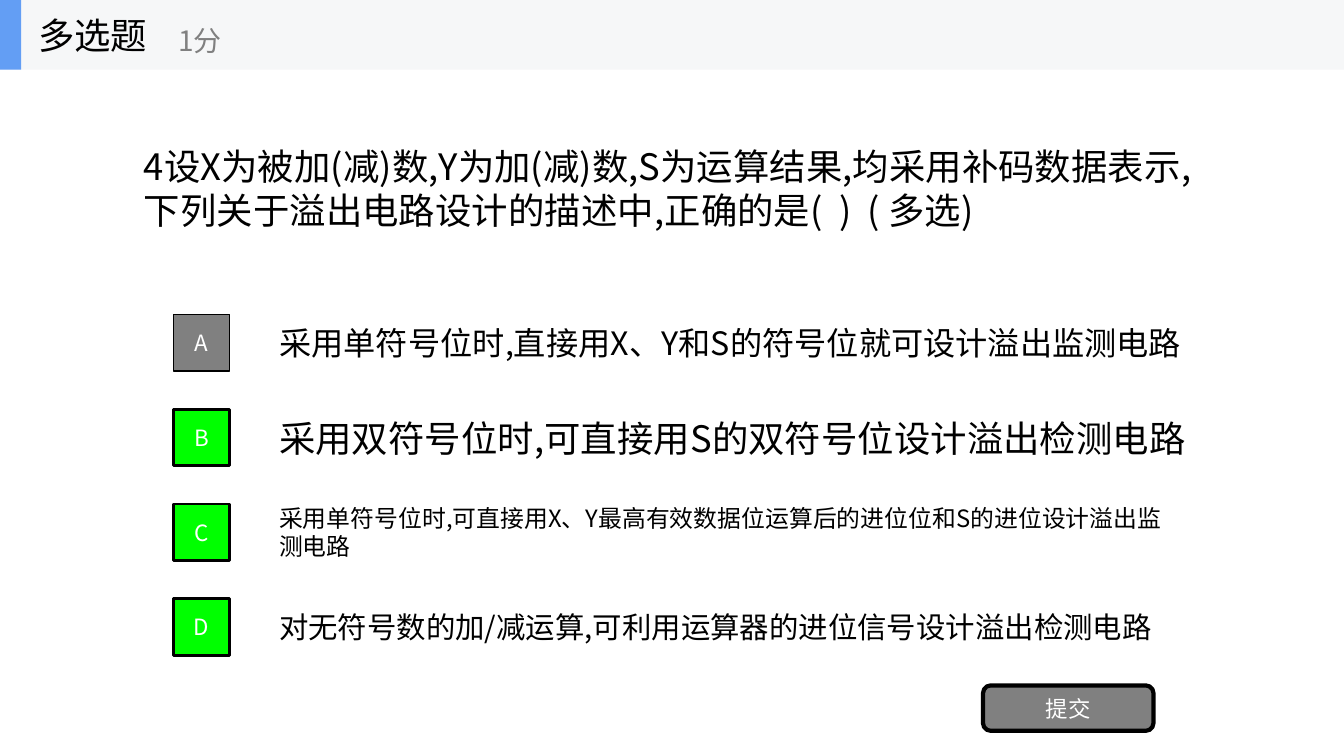
from lxml.etree import SubElement
from pptx import Presentation
from pptx.dml.color import RGBColor
from pptx.enum.shapes import MSO_SHAPE
from pptx.enum.text import MSO_ANCHOR, MSO_AUTO_SIZE, PP_ALIGN
from pptx.oxml.ns import qn
from pptx.util import Inches, Pt

FONT = "Noto Sans CJK SC"
BLACK = RGBColor(0x00, 0x00, 0x00)
WHITE = RGBColor(0xFF, 0xFF, 0xFF)
GRAY = RGBColor(0x80, 0x80, 0x80)
GREEN = RGBColor(0x00, 0xFF, 0x00)
BLUE = RGBColor(0x63, 0x9E, 0xF4)
BAR = RGBColor(0xF6, 0xF7, 0xF8)

WIDTH, HEIGHT = 13.33, 7.5
HEADER_HEIGHT = 0.69
KEY_LEFT, KEY_SIZE = 1.72, 0.56
ANSWER_LEFT = 2.67
FIRST_ROW, ROW_PITCH = 3.4, 0.94

QUESTION = (
    "4设X为被加(减)数,Y为加(减)数,S为运算结果,均采用补码数据表示,"
    "下列关于溢出电路设计的描述中,正确的是(  )  ( 多选)"
)
OPTIONS = [
    ("A", "采用单符号位时,直接用X、Y和S的符号位就可设计溢出监测电路", 23, 9.25, 0.49, GRAY, 1),
    ("B", "采用双符号位时,可直接用S的双符号位设计溢出检测电路", 26, 9.27, 0.53, GREEN, 2),
    ("C", "采用单符号位时,可直接用X、Y最高有效数据位运算后的进位位和S的进位设计溢出监测电路",
     17, 8.95, 0.67, GREEN, 2),
    ("D", "对无符号数的加/减运算,可利用运算器的进位信号设计溢出检测电路", 21, 8.94, 0.45, GREEN, 2),
]


def write(shape, text, size, color, align=PP_ALIGN.LEFT):
    frame = shape.text_frame
    frame.word_wrap = True
    frame.vertical_anchor = MSO_ANCHOR.MIDDLE
    para = frame.paragraphs[0]
    para.alignment = align
    span = para.add_run()
    span.text = text
    span.font.size = Pt(size)
    span.font.name = FONT
    span.font.color.rgb = color
    SubElement(span.font._element, qn("a:ea")).set("typeface", FONT)


def add_text(shapes, place, text, size, color=BLACK, grow=False):
    box = shapes.add_textbox(*map(Inches, place))
    write(box, text, size, color)
    if grow:
        box.text_frame.auto_size = MSO_AUTO_SIZE.SHAPE_TO_FIT_TEXT


def add_block(shapes, place, fill, kind=MSO_SHAPE.RECTANGLE, border=0):
    block = shapes.add_shape(kind, *map(Inches, place))
    block.shadow.inherit = False
    block.fill.solid()
    block.fill.fore_color.rgb = fill
    if border:
        block.line.color.rgb = BLACK
        block.line.width = Pt(border)
    else:
        block.line.fill.background()
    return block


def add_option(shapes, row, key, answer, size, width, height, fill, border):
    middle = FIRST_ROW + row * ROW_PITCH
    add_text(shapes, (ANSWER_LEFT, middle - height / 2, width, height), answer, size, grow=True)
    place = (KEY_LEFT, middle - KEY_SIZE / 2, KEY_SIZE, KEY_SIZE)
    write(add_block(shapes, place, fill, border=border), key, 16, WHITE, PP_ALIGN.CENTER)


def add_header(page):
    shapes = page.shapes.add_group_shape().shapes
    add_block(shapes, (0, 0, WIDTH, HEADER_HEIGHT), BAR)
    add_block(shapes, (0, 0, 0.21, HEADER_HEIGHT), BLUE)
    add_text(shapes, (0.28, 0, 2.08, HEADER_HEIGHT), "多选题", 26)
    add_text(shapes, (1.67, 0.12, 2.5, 0.56), "1分", 20, GRAY)


def main():
    deck = Presentation()
    deck.slide_width, deck.slide_height = Inches(WIDTH), Inches(HEIGHT)
    page = deck.slides.add_slide(deck.slide_layouts[6])
    add_text(page.shapes, (1.33, 1.38, 10.56, 0.97), QUESTION, 26, grow=True)
    for row, option in enumerate(OPTIONS):
        add_option(page.shapes, row, *option)
    button = add_block(page.shapes, (9.75, 6.8, 1.69, 0.45), GRAY, MSO_SHAPE.ROUNDED_RECTANGLE, 3)
    write(button, "提交", 16, WHITE, PP_ALIGN.CENTER)
    add_header(page)
    deck.save("out.pptx")


if __name__ == "__main__":
    main()
